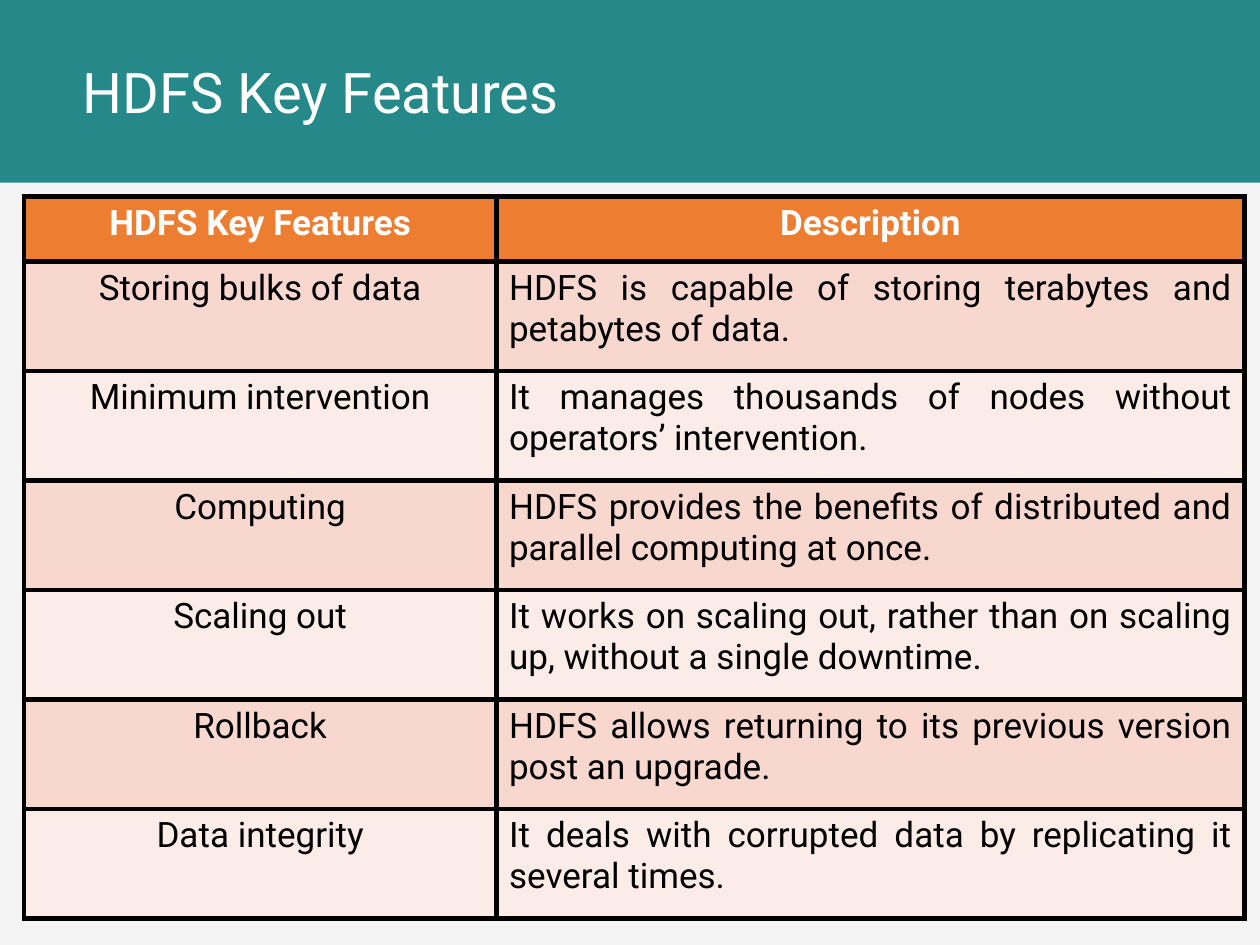
from dataclasses import dataclass

import pptx
import pptx.dml.color
import pptx.enum.shapes
import pptx.enum.text
import pptx.oxml
import pptx.oxml.ns
import pptx.util

Pt = pptx.util.Pt
ALIGN = pptx.enum.text.PP_ALIGN


@dataclass(frozen=True)
class Theme:
    font: str = "Roboto"
    background: str = "F4F4F5"
    banner: str = "258989"
    header: str = "ED7D31"
    bands: tuple = ("F8D7CE", "FCECE8")
    light: str = "FFFFFF"
    dark: str = "000000"
    title_size: float = 32
    table_size: float = 20
    border: float = 3


THEME = Theme()

HEADINGS = ("HDFS Key Features", "Description")
FEATURES = (
    ("Storing bulks of data", "HDFS is capable of storing terabytes and petabytes of data."),
    ("Minimum intervention", "It manages thousands of nodes without operators’ intervention."),
    ("Computing", "HDFS provides the benefits of distributed and parallel computing at once."),
    ("Scaling out", "It works on scaling out, rather than on scaling up, without a single downtime."),
    ("Rollback", "HDFS allows returning to its previous version post an upgrade."),
    ("Data integrity", "It deals with corrupted data by replicating it several times."),
)


def paint(fill, color):
    fill.solid()
    fill.fore_color.rgb = pptx.dml.color.RGBColor.from_string(color)


def write(frame, text, size, color, align, bold=False):
    paragraph = frame.paragraphs[0]
    paragraph.alignment = align
    run = paragraph.add_run()
    run.text = text
    run.font.name = THEME.font
    run.font.size = Pt(size)
    run.font.bold = bold
    run.font.color.rgb = pptx.dml.color.RGBColor.from_string(color)


def outline_cell(cell):
    properties = cell._tc.get_or_add_tcPr()
    for index, side in enumerate(("lnL", "lnR", "lnT", "lnB")):
        # Borders must come before the fill
        properties.insert(index, pptx.oxml.parse_xml(
            f'<a:{side} {pptx.oxml.ns.nsdecls("a")} w="{Pt(THEME.border)}">'
            f'<a:solidFill><a:srgbClr val="{THEME.dark}"/></a:solidFill></a:{side}>'))


def add_banner(slide, left, top, width, height):
    banner = slide.shapes.add_shape(
        pptx.enum.shapes.MSO_SHAPE.RECTANGLE, Pt(left), Pt(top), Pt(width), Pt(height))
    banner.shadow.inherit = False
    paint(banner.fill, THEME.banner)
    banner.line.fill.background()

    # Title, indented within the banner
    indent = 40.3
    title = slide.shapes.add_textbox(
        Pt(left + indent), Pt(top), Pt(width - indent), Pt(height)).text_frame
    title.word_wrap = True
    title.vertical_anchor = pptx.enum.text.MSO_ANCHOR.MIDDLE
    write(title, "HDFS Key Features", THEME.title_size, THEME.light, ALIGN.JUSTIFY)


def add_feature_table(slide, left, top, width, height):
    header_height, feature_width = 37.2, 270
    table = slide.shapes.add_table(
        len(FEATURES) + 1, len(HEADINGS), Pt(left), Pt(top), Pt(width), Pt(height)).table
    table.columns[0].width = Pt(feature_width)
    table.columns[1].width = Pt(width - feature_width)

    for row, texts in enumerate((HEADINGS, *FEATURES)):
        is_header = row == 0
        table.rows[row].height = Pt(
            header_height if is_header else (height - header_height) / len(FEATURES))
        for column, text in enumerate(texts):
            cell = table.cell(row, column)
            paint(cell.fill, THEME.header if is_header else THEME.bands[(row - 1) % 2])
            outline_cell(cell)
            write(cell.text_frame, text, THEME.table_size,
                  THEME.light if is_header else THEME.dark,
                  ALIGN.CENTER if is_header or column == 0 else ALIGN.JUSTIFY,
                  bold=is_header)


def main():
    deck = pptx.Presentation()
    deck.slide_width, deck.slide_height = Pt(720), Pt(540)
    slide = deck.slides.add_slide(deck.slide_layouts[6])
    paint(slide.background.fill, THEME.background)
    add_banner(slide, 0, 0, 720, 104.4)
    add_feature_table(slide, 13.7, 112.2, 697.4, 412.6)
    deck.save("out.pptx")


if __name__ == "__main__":
    main()
